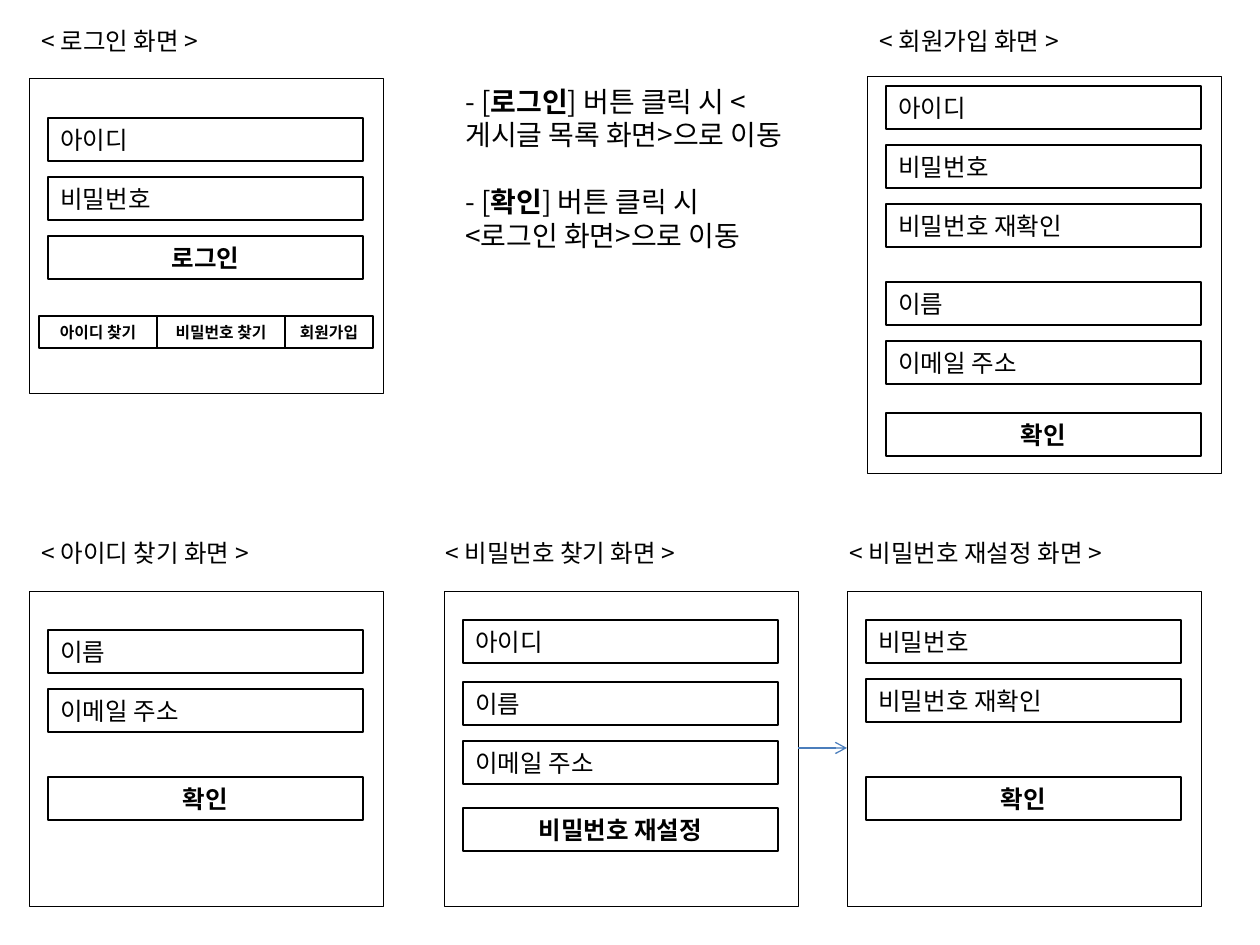
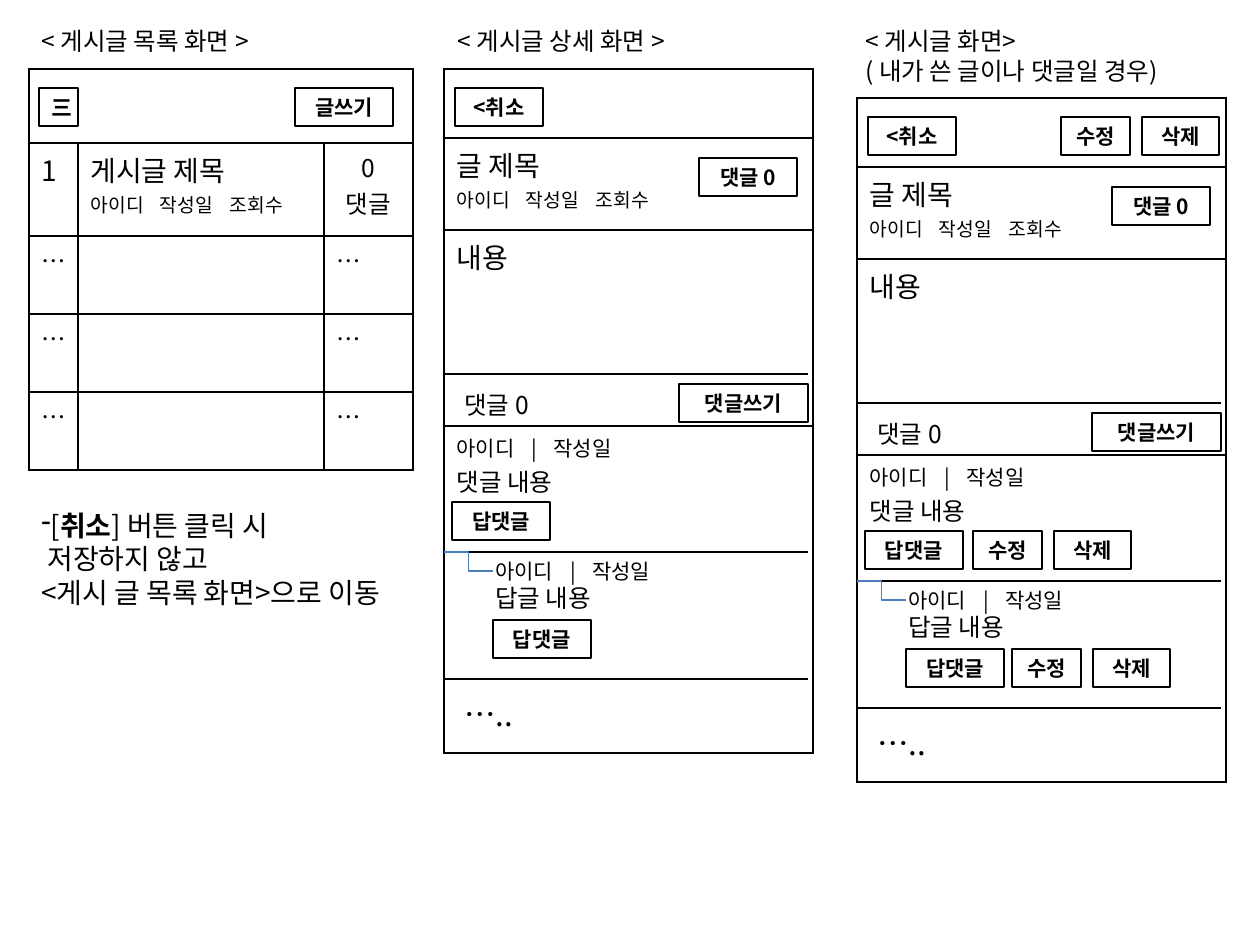
"""Build two wireframe slides: the account screens and the message board screens."""
from dataclasses import dataclass
from itertools import accumulate

from lxml import etree
from pptx import Presentation
from pptx.dml.color import RGBColor
from pptx.enum.shapes import MSO_CONNECTOR, MSO_SHAPE
from pptx.enum.text import MSO_ANCHOR, MSO_AUTO_SIZE, PP_ALIGN
from pptx.oxml.ns import qn
from pptx.util import Emu, Pt

RECTANGLE = MSO_SHAPE.RECTANGLE
STRAIGHT = MSO_CONNECTOR.STRAIGHT
ELBOW = MSO_CONNECTOR.ELBOW
LEFT, CENTER = PP_ALIGN.LEFT, PP_ALIGN.CENTER
TOP, MIDDLE = MSO_ANCHOR.TOP, MSO_ANCHOR.MIDDLE
GROW = MSO_AUTO_SIZE.SHAPE_TO_FIT_TEXT

COLORS = {"ink": "000000", "paper": "FFFFFF", "flow": "4B7EBC"}
FONT = "Noto Sans CJK KR"
EMU_PER_PIXEL = 914400 / 126
FRAME_WIDTH, FIELD_INSET, FIELD_WIDTH, FIELD_HEIGHT = 354, 19, 315, 43
BUTTON_HEIGHT = 38
POST_LEFT, POST_TOP, POST_WIDTH, RULE_END = 444, 69, 369, 808
POST_ROWS = [69, 92, 196, 327]
LIST_COLUMNS, LIST_ROWS = [49, 246, 89], [74, 93, 78, 78, 78]


@dataclass
class Box:
    left: int
    top: int
    width: int
    height: int

    def emu(self) -> list[Emu]:
        return [px(n) for n in (self.left, self.top, self.width, self.height)]


@dataclass
class Line:
    """One paragraph; pieces alternate between regular and bold."""
    pieces: tuple[str, ...]
    size: int = 14
    align: PP_ALIGN = LEFT
    tabs: tuple[int, ...] = ()
    space_before: int = 0
    bullet: str = ""


@dataclass
class Screen:
    title: str
    title_box: Box
    frame: Box
    fields: dict[str, int]
    button: str
    button_top: int


@dataclass
class Button:
    label: str
    left: int
    top: int
    width: int


META = Line(("아이디\t작성일\t조회수",), 11, tabs=(69, 139))
AUTHOR = Line(("아이디\t|\t작성일",), 12, tabs=(75, 97))

SCREENS = [
    Screen("< 로그인 화면 >", Box(29, 20, 354, 43), Box(29, 78, FRAME_WIDTH, 315),
           {"아이디": 118, "비밀번호": 177}, "로그인", 236),
    Screen("< 회원가입 화면 >", Box(867, 20, 354, 43), Box(867, 76, FRAME_WIDTH, 397),
           {"아이디": 86, "비밀번호": 145, "비밀번호 재확인": 204,
            "이름": 282, "이메일 주소": 341}, "확인", 413),
    Screen("< 아이디 찾기 화면 >", Box(29, 532, 354, 43), Box(29, 591, FRAME_WIDTH, 315),
           {"이름": 630, "이메일 주소": 689}, "확인", 777),
    Screen("< 비밀번호 찾기 화면 >", Box(433, 532, 374, 43), Box(444, 591, FRAME_WIDTH, 315),
           {"아이디": 620, "이름": 682, "이메일 주소": 741}, "비밀번호 재설정", 808),
    Screen("< 비밀번호 재설정 화면 >", Box(837, 532, 403, 43), Box(847, 591, FRAME_WIDTH, 315),
           {"비밀번호": 620, "비밀번호 재확인": 679}, "확인", 777),
]
LOGIN_LINKS = {"아이디 찾기": 118, "비밀번호 찾기": 128, "회원가입": 88}

POST_BUTTONS = [
    Button("<취소", 455, 88, 88), Button("댓글 0", 699, 158, 98),
    Button("댓글쓰기", 679, 384, 129), Button("답댓글", 452, 502, 98),
    Button("답댓글", 493, 620, 98),
]
OWNER_EDITS = [(648, 88), (560, 502), (599, 620)]


def px(pixels: float) -> Emu:
    return Emu(round(pixels * EMU_PER_PIXEL))


def color(key: str) -> RGBColor:
    return RGBColor.from_string(COLORS[key])


def write(frame, lines: list[Line]) -> None:
    for index, line in enumerate(lines):
        paragraph = frame.paragraphs[0] if index == 0 else frame.add_paragraph()
        paragraph.alignment = line.align
        if line.space_before:
            paragraph.space_before = Pt(line.space_before)
        properties = paragraph._p.get_or_add_pPr()
        if line.bullet:
            etree.SubElement(properties, qn("a:buChar"), char=line.bullet)
        if line.tabs:
            stops = etree.SubElement(properties, qn("a:tabLst"))
            for stop in line.tabs:
                etree.SubElement(stops, qn("a:tab"), pos=str(px(stop)), algn="l")
        for piece_index, piece in enumerate(line.pieces):
            if not piece:
                continue
            run = paragraph.add_run()
            run.text = piece
            run.font.size = Pt(line.size)
            run.font.bold = piece_index % 2 == 1
            run.font.color.rgb = color("ink")
            run.font.name = FONT
            etree.SubElement(run._r.get_or_add_rPr(), qn("a:ea"), typeface=FONT)


def add_text(slide, box: Box, lines: list[Line]) -> None:
    frame = slide.shapes.add_textbox(*box.emu()).text_frame
    frame.word_wrap = True
    frame.auto_size = GROW
    frame.vertical_anchor = TOP
    write(frame, lines)


def add_box(slide, box: Box, line: Line | None = None) -> None:
    shape = slide.shapes.add_shape(RECTANGLE, *box.emu())
    shape.shadow.inherit = False
    shape.line.color.rgb = color("ink")
    if line is None:
        shape.fill.solid()
        shape.fill.fore_color.rgb = color("paper")
        shape.line.width = Pt(0.25)
        return
    shape.fill.background()
    shape.line.width = Pt(0.75)
    shape.text_frame.word_wrap = True
    shape.text_frame.auto_size = GROW
    shape.text_frame.vertical_anchor = MIDDLE
    write(shape.text_frame, [line])


def add_button(slide, button: Button, dx: int = 0, dy: int = 0) -> None:
    box = Box(button.left + dx, button.top + dy, button.width, BUTTON_HEIGHT)
    add_box(slide, box, Line(("", button.label), 12, CENTER))


def add_line(slide, start: tuple[int, int], end: tuple[int, int], key: str = "ink",
             kind: MSO_CONNECTOR = STRAIGHT, arrow: bool = False) -> None:
    connector = slide.shapes.add_connector(kind, *[px(n) for n in start + end])
    connector.line.color.rgb = color(key)
    connector.line.width = Pt(0.75)
    properties = connector._element.spPr
    if arrow:
        etree.SubElement(properties.find(qn("a:ln")), qn("a:tailEnd"), type="arrow")
    etree.SubElement(properties, qn("a:effectLst"))


def add_grid(slide, left: int, top: int, columns: list[int], rows: list[int],
             content: dict[tuple[int, int], list[Line]]):
    box = Box(left, top, sum(columns), sum(rows))
    table = slide.shapes.add_table(len(rows), len(columns), *box.emu()).table
    table.first_row = table.horz_banding = False
    for column, width in zip(table.columns, columns):
        column.width = px(width)
    for row, height in zip(table.rows, rows):
        row.height = px(height)
    for cell in table.iter_cells():
        properties = cell._tc.get_or_add_tcPr()
        for side in ("a:lnL", "a:lnR", "a:lnT", "a:lnB"):
            border = etree.SubElement(properties, qn(side), w=str(Pt(1)))
            fill = etree.SubElement(border, qn("a:solidFill"))
            etree.SubElement(fill, qn("a:srgbClr"), val=COLORS["ink"])
        cell.fill.background()
    for (row, column), lines in content.items():
        write(table.cell(row, column).text_frame, lines)
    return table


def draw_screen(slide, screen: Screen) -> None:
    add_text(slide, screen.title_box, [Line((screen.title,))])
    add_box(slide, screen.frame)
    left = screen.frame.left + FIELD_INSET
    for label, top in screen.fields.items():
        add_box(slide, Box(left, top, FIELD_WIDTH, FIELD_HEIGHT), Line((label,)))
    add_box(slide, Box(left, screen.button_top, FIELD_WIDTH, FIELD_HEIGHT),
            Line(("", screen.button), align=CENTER))


def draw_post(slide, dx: int, dy: int, owner: bool) -> None:
    left = POST_LEFT + dx
    add_grid(slide, left, POST_TOP + dy, [POST_WIDTH], POST_ROWS, {
        (1, 0): [Line(("글 제목",), 16), META],
        (2, 0): [Line(("내용",), 16)],
        (3, 0): [AUTHOR, Line(("댓글 내용",))],
    })
    for top in (374, 552, 679):
        add_line(slide, (left, top + dy), (RULE_END + dx, top + dy))
    add_line(slide, (left, 552 + dy), (left + 49, 571 + dy), "flow", ELBOW)
    add_text(slide, Box(483 + dx, 552 + dy, 305, 68), [AUTHOR, Line(("답글 내용",))])
    add_text(slide, Box(452 + dx, 384 + dy, 118, 43), [Line(("댓글 0",))])
    add_text(slide, Box(452 + dx, 689 + dy, 354, 50), [Line(("…..",), 18)])
    for button in POST_BUTTONS:
        add_button(slide, button, dx, dy)
    if owner:
        for edit_left, top in OWNER_EDITS:
            add_button(slide, Button("수정", edit_left, top, 69), dx, dy)
            add_button(slide, Button("삭제", edit_left + 81, top, 77), dx, dy)


def draw_account_slide(slide) -> None:
    for screen in SCREENS:
        draw_screen(slide, screen)
    lefts = accumulate(LOGIN_LINKS.values(), initial=39)
    for left, (label, width) in zip(lefts, LOGIN_LINKS.items()):
        add_box(slide, Box(left, 316, width, 32), Line(("", label), 9, CENTER))
    add_line(slide, (798, 748), (847, 748), "flow", arrow=True)
    add_text(slide, Box(453, 78, 344, 251), [
        Line(("- [", "로그인", "] 버튼 클릭 시 <게시글 목록 화면>으로 이동"), 16),
        Line(("- [", "확인", "] 버튼 클릭 시"), 16, space_before=19),
        Line(("<로그인 화면>으로 이동",), 16),
    ])


def draw_board_slide(slide) -> None:
    add_text(slide, Box(29, 20, 354, 43), [Line(("< 게시글 목록 화면 >",))])
    add_text(slide, Box(445, 20, 354, 43), [Line(("< 게시글 상세 화면 >",))])
    add_text(slide, Box(853, 20, 354, 72), [
        Line(("< 게시글 화면>",)), Line(("( 내가 쓴 글이나 댓글일 경우)",))])
    content = {
        (1, 0): [Line(("1",), 16)],
        (1, 1): [Line(("게시글 제목",), 16), META],
        (1, 2): [Line(("0",), align=CENTER), Line(("댓글",), align=CENTER)],
    }
    content |= {(row, column): [Line(("…",))] for row in (2, 3, 4) for column in (0, 2)}
    posts = add_grid(slide, 29, 69, LIST_COLUMNS, LIST_ROWS, content)
    posts.cell(0, 0).merge(posts.cell(0, 2))
    add_button(slide, Button("三", 39, 88, 39))
    add_button(slide, Button("글쓰기", 295, 88, 98))
    add_text(slide, Box(29, 502, 364, 149), [
        Line(("[", "취소", "] 버튼 클릭 시"), 16, bullet="-"),
        Line((" 저장하지 않고",), 16),
        Line(("<게시 글 목록 화면>으로 이동",), 16),
    ])
    draw_post(slide, 0, 0, owner=False)
    draw_post(slide, 413, 29, owner=True)


def main() -> None:
    deck = Presentation()
    deck.slide_width, deck.slide_height = px(1260), px(945)
    for draw in (draw_account_slide, draw_board_slide):
        draw(deck.slides.add_slide(deck.slide_layouts[6]))
    deck.save("out.pptx")


main()
